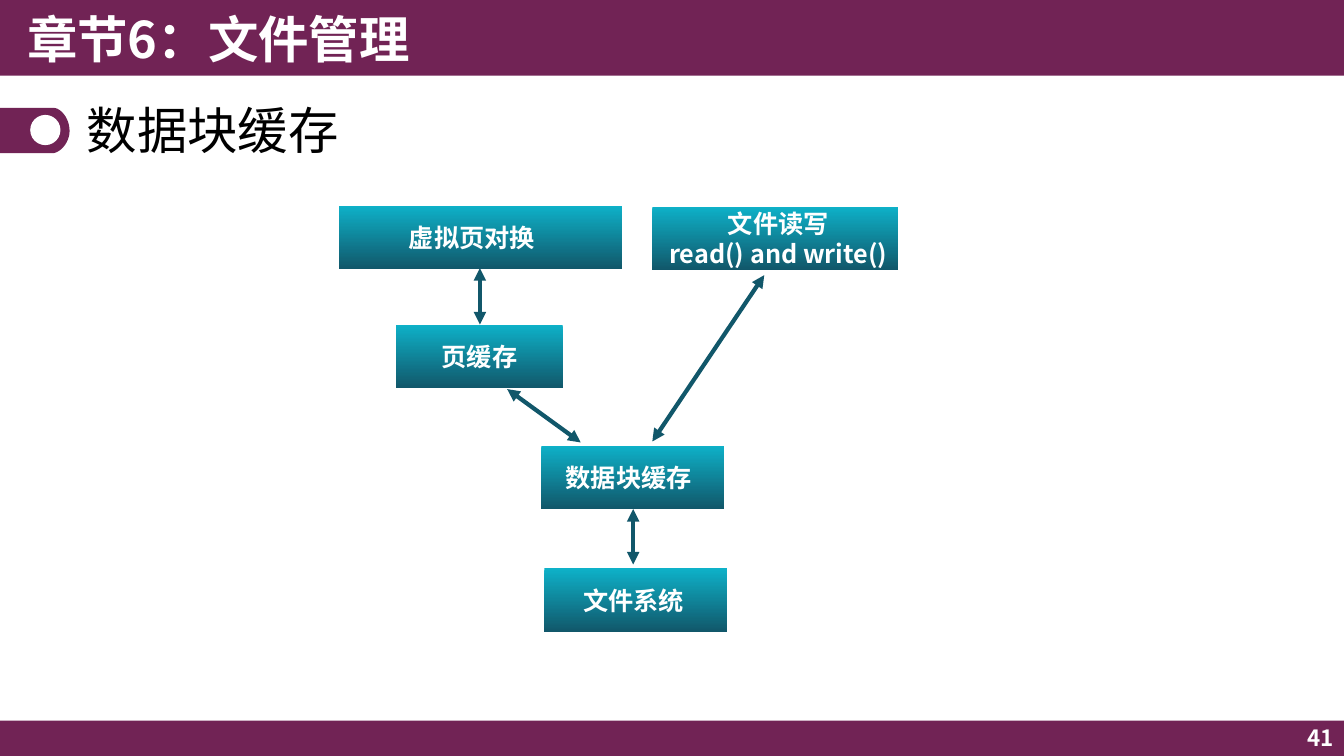
"""Builds the slide on data block caching in file management."""
from pptx import Presentation
from pptx.dml.color import RGBColor
from pptx.enum.shapes import MSO_CONNECTOR, MSO_SHAPE
from pptx.enum.text import MSO_ANCHOR, PP_ALIGN
from pptx.oxml.ns import qn
from pptx.util import Inches, Pt
from lxml.etree import SubElement

PLUM = RGBColor(0x71, 0x23, 0x55)
WHITE = RGBColor(0xFF, 0xFF, 0xFF)
BLACK = RGBColor(0, 0, 0)
TEAL = RGBColor(0x0E, 0xB1, 0xC8)
DARK_TEAL = RGBColor(0x11, 0x57, 0x6A)
FONT = "Noto Sans CJK SC"


def write(sp, text, size, color, align=PP_ALIGN.LEFT, bold=True):
    tf = sp.text_frame
    tf.word_wrap = True
    tf.vertical_anchor = MSO_ANCHOR.MIDDLE
    tf.text = text
    for p in tf.paragraphs:
        p.alignment = align
        for r in p.runs:
            for name, value in {"name": FONT, "size": Pt(size), "bold": bold}.items():
                setattr(r.font, name, value)
            r.font.color.rgb = color
            SubElement(r.font._element, qn("a:ea"), typeface=FONT)


def paint(sp, color):
    sp.shadow.inherit = False
    sp.line.fill.background()
    sp.fill.solid()
    sp.fill.fore_color.rgb = color


prs = Presentation()
prs.slide_width, prs.slide_height = Inches(13.33), Inches(7.5)
s = prs.slides.add_slide(prs.slide_layouts[5])

for top, height in [(7.15, 0.35), (0, 0.75)]:
    bar = s.shapes.add_shape(MSO_SHAPE.RECTANGLE, 0, Inches(top), prs.slide_width, Inches(height))
    paint(bar, PLUM)

curves = [
    [(0.53, 1.07), (0.6, 1.07), (0.69, 1.17), (0.69, 1.3)],
    [(0.69, 1.3), (0.69, 1.42), (0.59, 1.52), (0.52, 1.52)],
]
points = []
for a, b, c, d in curves:
    for t in [i / 12 for i in range(13)]:
        weights = (1 - t) ** 3, 3 * t * (1 - t) ** 2, 3 * t * t * (1 - t), t ** 3
        points.append([Inches(sum(w * q[k] for w, q in zip(weights, (a, b, c, d)))) for k in (0, 1)])
fb = s.shapes.build_freeform(0, Inches(1.07))
fb.add_line_segments(points + [(0, Inches(1.52))], close=True)
paint(fb.convert_to_shape(), PLUM)
dot = s.shapes.add_shape(MSO_SHAPE.OVAL, Inches(0.3), Inches(1.14), Inches(0.3), Inches(0.3))
paint(dot, WHITE)

chapter = s.shapes.add_textbox(Inches(0.17), 0, Inches(6.67), Inches(0.77))
write(chapter, "章节6：文件管理", 36, WHITE)

title = s.shapes.title
title.left, title.top, title.width, title.height = map(Inches, (0.76, 0.95, 11.81, 0.74))
write(title, "数据块缓存", 36, BLACK, bold=False)
title.text_frame.paragraphs[0].line_spacing = 0.9

boxes = [
    ("虚拟页对换", 3.36, 2.04, 2.81, 0, 0.17),
    ("文件读写\nread() and write()", 6.47, 2.05, 2.44, 0.06, 0),
    ("页缓存", 3.93, 3.22, 1.65, 0, 0),
    ("文件系统", 5.4, 5.64, 1.81, 0, 0.04),
    ("数据块缓存", 5.37, 4.42, 1.81, 0, 0.08),
]
for text, left, top, width, inset_left, inset_right in boxes:
    sp = s.shapes.add_shape(MSO_SHAPE.RECTANGLE, *map(Inches, (left, top, width, 0.63)))
    paint(sp, TEAL)
    sp.fill.gradient()
    sp.fill.gradient_angle = 270
    for stop, position, color in zip(sp.fill.gradient_stops, (0, 1), (TEAL, DARK_TEAL)):
        stop.position = position
        stop.color.rgb = color
    write(sp, text, 18, WHITE, PP_ALIGN.CENTER)
    tf = sp.text_frame
    tf.margin_left, tf.margin_right = Inches(inset_left), Inches(inset_right)
    tf.margin_top = tf.margin_bottom = 0

arrows = [
    (4.76, 2.66, 4.76, 3.22),
    (6.28, 5.05, 6.28, 5.6),
    (5.03, 3.86, 5.76, 4.39),
    (7.58, 2.73, 6.47, 4.38),
]
for ends in arrows:
    cn = s.shapes.add_connector(MSO_CONNECTOR.STRAIGHT, *map(Inches, ends))
    cn.line.width = Pt(3)
    cn.line.color.rgb = DARK_TEAL
    for tag in ("a:headEnd", "a:tailEnd"):
        SubElement(cn.line._get_or_add_ln(), qn(tag), type="triangle")
    SubElement(cn._element.spPr, qn("a:effectLst"))

number = s.shapes.add_textbox(Inches(10.33), Inches(7.14), Inches(3), Inches(0.36))
write(number, "41", 16, WHITE, PP_ALIGN.RIGHT)

prs.save("out.pptx")
